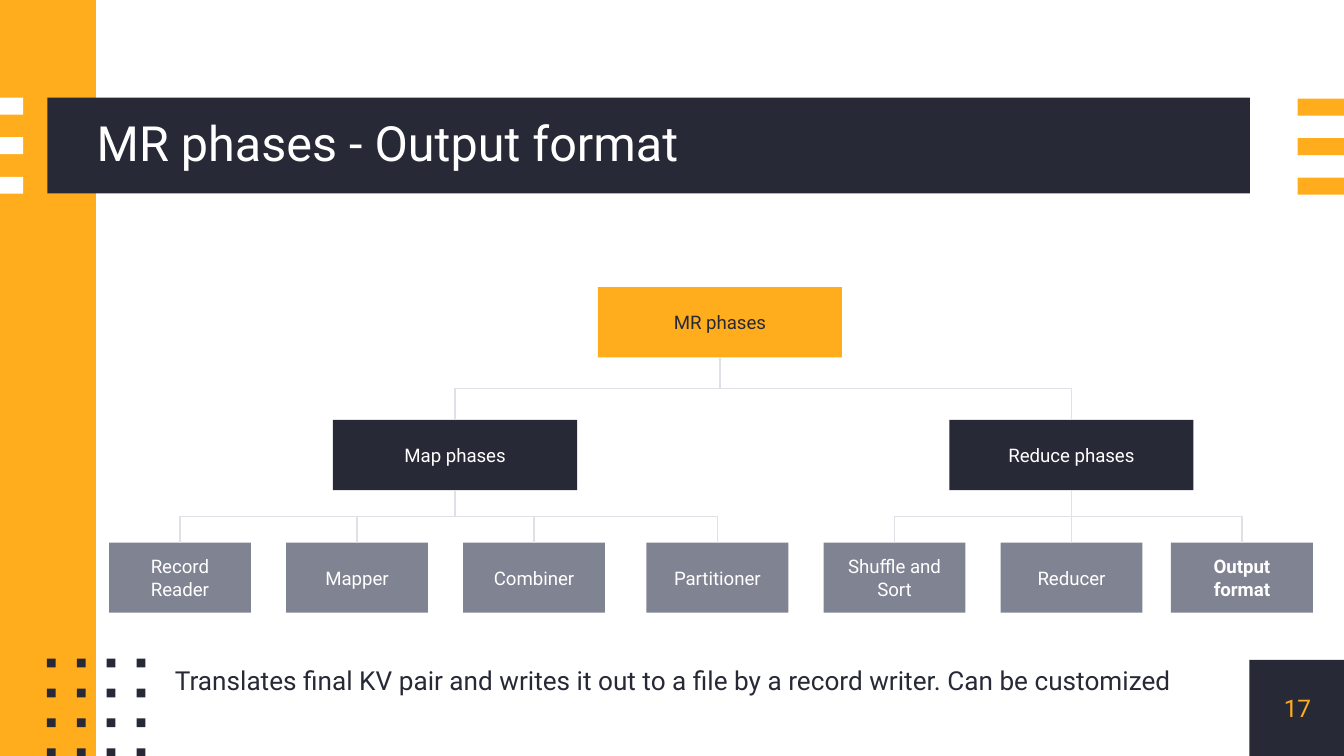
from itertools import product

from lxml.etree import SubElement
from pptx import Presentation
from pptx.dml.color import RGBColor
from pptx.enum.shapes import MSO_CONNECTOR, MSO_SHAPE
from pptx.enum.text import MSO_ANCHOR, PP_ALIGN
from pptx.oxml.ns import qn
from pptx.util import Pt

DARK, AMBER, WHITE, GRAY, LINE = "272A36", "FFAD1D", "FFFFFF", "808392", "E0E0E7"

PANELS = [
    (669.3, 353.5, 50.7, 51.5, DARK),
    (0, 0, 51.4, 405, AMBER),
    (25.4, 52.3, 644.2, 51.4, DARK),
]
STRIPES = [(0, 52.3, 12.4, WHITE), (695.2, 52.8, 24.8, AMBER)]
STRIPE_HEIGHT, STRIPE_STEP = 9.1, 21.2
DOT_LEFT, DOT_TOP, DOT_SIZE, DOT_STEP = 25.2, 352.9, 4.7, 16

TEXTS = [
    ("MR phases - Output format", (51.8, 52.3, 617.8, 51.4),
     {"size": Pt(26)}, WHITE, MSO_ANCHOR.MIDDLE,
     {"line_spacing": 0.9, "alignment": PP_ALIGN.LEFT}),
    ("17", (669.6, 353.5, 51, 51.5),
     {"size": Pt(13)}, AMBER, MSO_ANCHOR.MIDDLE,
     {"alignment": PP_ALIGN.CENTER}),
    ("Translates final KV pair and writes it out to a file by a record writer. "
     "Can be customized", (82.5, 353.5, 556.5, 36),
     {"size": Pt(14)}, DARK, MSO_ANCHOR.TOP,
     {"alignment": PP_ALIGN.CENTER, "line_spacing": 1.15, "space_before": Pt(6)}),
]

LEVELS = [
    {"top": 153.9, "width": 130.8, "fill": AMBER, "color": DARK},
    {"top": 225, "width": 130.8, "fill": DARK, "color": WHITE},
    {"top": 290.7, "width": 76, "fill": GRAY, "color": WHITE},
]
NODE_HEIGHT = 37.6
NODES = [
    ("MR phases", 0, 385.7, None),
    ("Map phases", 1, 243.8, "MR phases"),
    ("Reduce phases", 1, 574, "MR phases"),
    ("Record Reader", 2, 96.4, "Map phases"),
    ("Mapper", 2, 191.3, "Map phases"),
    ("Combiner", 2, 286.1, "Map phases"),
    ("Partitioner", 2, 384.3, "Map phases"),
    ("Shuffle and Sort", 2, 479.2, "Reduce phases"),
    ("Reducer", 2, 574, "Reduce phases"),
    ("Output format", 2, 665.3, "Reduce phases"),
]
HIGHLIGHT = "Output format"


def rgb(value):
    """Return the colour for a hex string."""
    return RGBColor.from_string(value)


def add_rectangle(page, left, top, width, height, fill):
    """Add a flat rectangle without outline."""
    box = page.shapes.add_shape(
        MSO_SHAPE.RECTANGLE, Pt(left), Pt(top), Pt(width), Pt(height))
    box.shadow.inherit = False
    box.fill.solid()
    box.fill.fore_color.rgb = rgb(fill)
    box.line.fill.background()
    return box


def write_text(box, text, font, color, anchor, layout, inset=0):
    """Put one formatted paragraph into a box."""
    frame = box.text_frame
    frame.word_wrap = True
    frame.vertical_anchor = anchor
    for side in ("left", "top", "right", "bottom"):
        setattr(frame, f"margin_{side}", Pt(inset))
    para = frame.paragraphs[0]
    for name, value in layout.items():
        setattr(para, name, value)
    span = para.add_run()
    span.text = text
    for name, value in {"name": "Roboto", **font}.items():
        setattr(span.font, name, value)
    span.font.color.rgb = rgb(color)


def link(page, parent, child):
    """Join a parent's bottom to a child's top with a vertical-first elbow."""
    connector = page.shapes.add_connector(MSO_CONNECTOR.ELBOW, 0, 0, 0, 0)
    connector.begin_connect(parent, 2)
    connector.end_connect(child, 0)
    across = connector.end_x - connector.begin_x
    down = connector.end_y - connector.begin_y
    center_x = (connector.begin_x + connector.end_x) // 2
    center_y = (connector.begin_y + connector.end_y) // 2
    geometry = {
        "width": down, "height": abs(across),
        "left": center_x - down // 2, "top": center_y - abs(across) // 2,
    }
    for name, value in geometry.items():
        setattr(connector, name, value)
    properties = connector._element.spPr
    frame = properties.find(qn("a:xfrm"))
    frame.set("rot", "16200000" if across >= 0 else "5400000")
    frame.set("flipH", "1" if across >= 0 else "0")
    connector.line.color.rgb = rgb(LINE)
    connector.line.width = Pt(0.75)
    SubElement(properties, qn("a:effectLst"))


def add_decoration(page):
    """Draw the panels, stripes and dot grid."""
    for panel in PANELS:
        add_rectangle(page, *panel)
    for (left, top, width, fill), row in product(STRIPES, range(3)):
        add_rectangle(page, left, top + row * STRIPE_STEP, width, STRIPE_HEIGHT, fill)
    for row, column in product(range(4), repeat=2):
        add_rectangle(page, DOT_LEFT + column * DOT_STEP, DOT_TOP + row * DOT_STEP,
                      DOT_SIZE, DOT_SIZE, DARK)


def add_tree(page):
    """Draw the phase boxes and their links."""
    boxes = {}
    for name, depth, center, parent in NODES:
        level = LEVELS[depth]
        box = add_rectangle(page, center - level["width"] / 2, level["top"],
                            level["width"], NODE_HEIGHT, level["fill"])
        write_text(box, name, {"size": Pt(10), "bold": name == HIGHLIGHT},
                   level["color"], MSO_ANCHOR.MIDDLE,
                   {"alignment": PP_ALIGN.CENTER}, 7.2)
        boxes[name] = box
        if parent:
            link(page, boxes[parent], box)


def main():
    """Build and save the slide."""
    deck = Presentation()
    deck.slide_width, deck.slide_height = Pt(720), Pt(405)
    page = deck.slides.add_slide(deck.slide_layouts[6])
    add_decoration(page)
    for text, place, font, color, anchor, layout in TEXTS:
        box = page.shapes.add_textbox(*map(Pt, place))
        write_text(box, text, font, color, anchor, layout)
    add_tree(page)
    deck.save("out.pptx")


if __name__ == "__main__":
    main()
